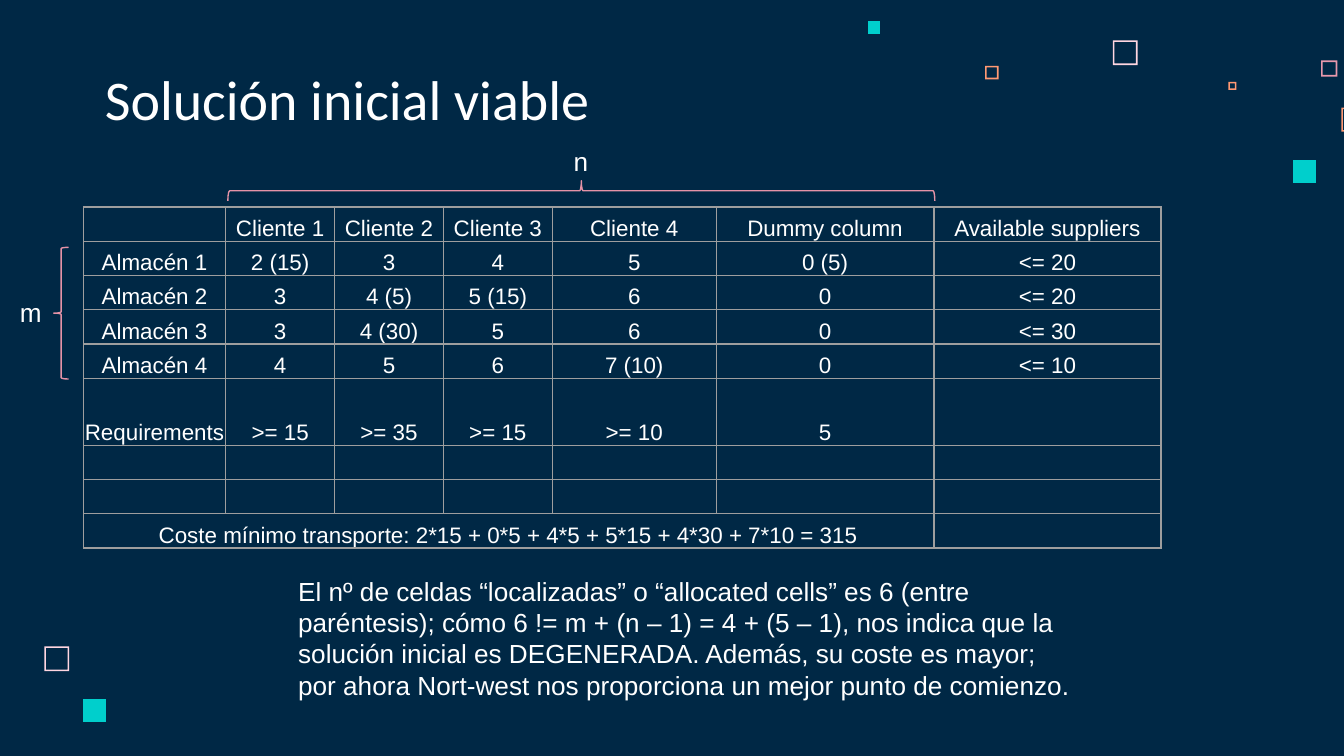
from lxml.etree import SubElement
from pptx import Presentation
from pptx.dml.color import RGBColor
from pptx.enum.shapes import MSO_SHAPE as Shape
from pptx.enum.text import MSO_ANCHOR as Anchor, MSO_AUTO_SIZE as AutoSize, PP_ALIGN as Align
from pptx.oxml.ns import qn
from pptx.util import Inches, Pt

COLORS = {
    "navy": "002845", "white": "FFFFFF", "grid": "9E9E9E", "brace": "E593A7",
    "blush": "FFD6E1", "pink": "E898AC", "orange": "FF9973", "teal": "00CFCC",
}
COLUMNS, ROWS = 100, 56.25
CELL = 0.1

FRAMES = [
    (82.8, 3, 1.85, "blush"), (98.3, 4.5, 1.2, "pink"), (91.4, 6.1, 0.6, "orange"),
    (99.8, 8, 1.8, "orange"), (73.3, 4.9, 1, "orange"), (3.3, 48.1, 1.85, "blush"),
]
SQUARES = [(96.2, 11.9, 1.7), (64.6, 1.6, 0.9), (6.2, 52, 1.7)]

TABLE_COLUMNS = [10.6, 8.1, 8.1, 8.1, 12.2, 16.2, 16.9]
TABLE_ROW = 2.55
TALL_ROW = 5
COSTS = [
    ["", "Cliente 1", "Cliente 2", "Cliente 3", "Cliente 4", "Dummy column", "Available suppliers"],
    ["Almacén 1", "2 (15)", "3", "4", "5", "0 (5)", "<= 20"],
    ["Almacén 2", "3", "4 (5)", "5 (15)", "6", "0", "<= 20"],
    ["Almacén 3", "3", "4 (30)", "5", "6", "0", "<= 30"],
    ["Almacén 4", "4", "5", "6", "7 (10)", "0", "<= 10"],
    ["Requirements", ">= 15", ">= 35", ">= 15", ">= 10", "5", ""],
    [""] * 7,
    [""] * 7,
    ["Coste mínimo transporte: 2*15 + 0*5 + 4*5 + 5*15 + 4*30 + 7*10 = 315"] + [""] * 6,
]
CONCLUSION = (
    "El nº de celdas “localizadas” o “allocated cells” es 6 (entre paréntesis); "
    "cómo 6 != m + (n – 1) = 4 + (5 – 1), nos indica que la solución inicial es DEGENERADA. "
    "Además, su coste es mayor; por ahora Nort-west nos proporciona un mejor punto de comienzo."
)


def grid(cells):
    return Inches(cells * CELL)


def color(name):
    return RGBColor.from_string(COLORS[name])


def assign(target, values):
    for name, value in values.items():
        setattr(target, name, value)


class SlideMaker:
    def __init__(self, deck):
        self.page = deck.slides.add_slide(deck.slide_layouts[0])
        self.page.background.fill.solid()
        self.page.background.fill.fore_color.rgb = color("navy")
        self.shapes = self.page.shapes

    def fill_text(self, frame, text, size, font="Arial", align=Align.LEFT):
        para = frame.paragraphs[0]
        para.alignment = align
        if text:
            span = para.add_run()
            span.text = text
            assign(span.font, {"name": font, "size": Pt(size), "bold": False})
            span.font.color.rgb = color("white")
        else:
            SubElement(para._p, qn("a:endParaRPr"), sz=str(size * 100))

    def title(self, text, *area):
        box = self.shapes.title
        assign(box, dict(zip(("left", "top", "width", "height"), map(grid, area))))
        margins = {f"margin_{side}": grid(1) for side in ("left", "right", "top", "bottom")}
        assign(box.text_frame, {"vertical_anchor": Anchor.BOTTOM, "word_wrap": True,
                                "auto_size": AutoSize.NONE, **margins})
        self.fill_text(box.text_frame, text, 30, "Calibri")
        subtitle = self.page.placeholders[1].element
        subtitle.getparent().remove(subtitle)

    def text(self, text, *area):
        frame = self.shapes.add_textbox(*map(grid, area)).text_frame
        assign(frame, {"word_wrap": True, "auto_size": AutoSize.SHAPE_TO_FIT_TEXT})
        self.fill_text(frame, text, 14)

    def square(self, left, top, size, fill, border=0):
        def corners(inset):
            near, far = inset, size - inset
            return [(grid(left + x), grid(top + y))
                    for x, y in ((near, near), (near, far), (far, far), (far, near))]

        outer = corners(0)
        builder = self.shapes.build_freeform(*outer[0], scale=1.0)
        builder.add_line_segments(outer[1:], close=True)
        if border:
            inner = corners(border)[::-1]
            builder.move_to(*inner[0])
            builder.add_line_segments(inner[1:], close=True)
        shape = builder.convert_to_shape()
        shape.shadow.inherit = False
        shape.fill.solid()
        shape.fill.fore_color.rgb = color(fill)
        shape.line.fill.background()

    def brace(self, *area, rotation=0):
        shape = self.shapes.add_shape(Shape.LEFT_BRACE, *map(grid, area))
        shape.rotation = rotation
        shape.shadow.inherit = False
        shape.fill.background()
        shape.line.color.rgb = color("brace")
        shape.line.width = Pt(0.75)

    def border(self, cell):
        properties = cell._tc.get_or_add_tcPr()
        for side in ("lnL", "lnR", "lnT", "lnB"):
            line = SubElement(properties, qn(f"a:{side}"), w=str(Pt(0.75)))
            fill = SubElement(line, qn("a:solidFill"))
            SubElement(fill, qn("a:srgbClr"), val=COLORS["grid"])

    def table(self, left, top, widths, heights, rows):
        table = self.shapes.add_table(len(rows), len(widths), grid(left), grid(top),
                                      grid(sum(widths)), grid(sum(heights))).table
        assign(table, {"first_row": False, "horz_banding": False})
        for column, width in zip(table.columns, widths):
            column.width = grid(width)
        for row, height, texts in zip(table.rows, heights, rows):
            row.height = grid(height)
            for cell, text in zip(row.cells, texts):
                assign(cell, {"vertical_anchor": Anchor.BOTTOM, "margin_left": grid(0.1),
                              "margin_right": grid(0.1), "margin_top": grid(0.1),
                              "margin_bottom": 0})
                self.border(cell)
                cell.fill.background()
                self.fill_text(cell.text_frame, text, 12, align=Align.CENTER)
        last = len(rows) - 1
        table.cell(last, 0).merge(table.cell(last, len(widths) - 2))


def main():
    deck = Presentation()
    assign(deck, {"slide_width": grid(COLUMNS), "slide_height": grid(ROWS)})
    slide = SlideMaker(deck)
    for left, top, size, fill in FRAMES:
        slide.square(left, top, size, fill, border=0.12)
    for left, top, size in SQUARES:
        slide.square(left, top, size, "teal")
    slide.title("Solución inicial viable", 6.8, 4.5, 51.7, 6.3)
    heights = [TALL_ROW if row[0] == "Requirements" else TABLE_ROW for row in COSTS]
    slide.table(6.2, 15.4, TABLE_COLUMNS, heights, COSTS)
    slide.text(CONCLUSION, 21.2, 42.3, 60.1, 10.4)
    slide.brace(4, 18.4, 1.1, 9.8)
    slide.brace(42.5, -12.1, 1.5, 52.6, rotation=90)
    slide.text("m", 0.5, 21.6, 50.8, 3.4)
    slide.text("n", 41.7, 10.3, 50.8, 3.4)
    deck.save("out.pptx")


if __name__ == "__main__":
    main()
